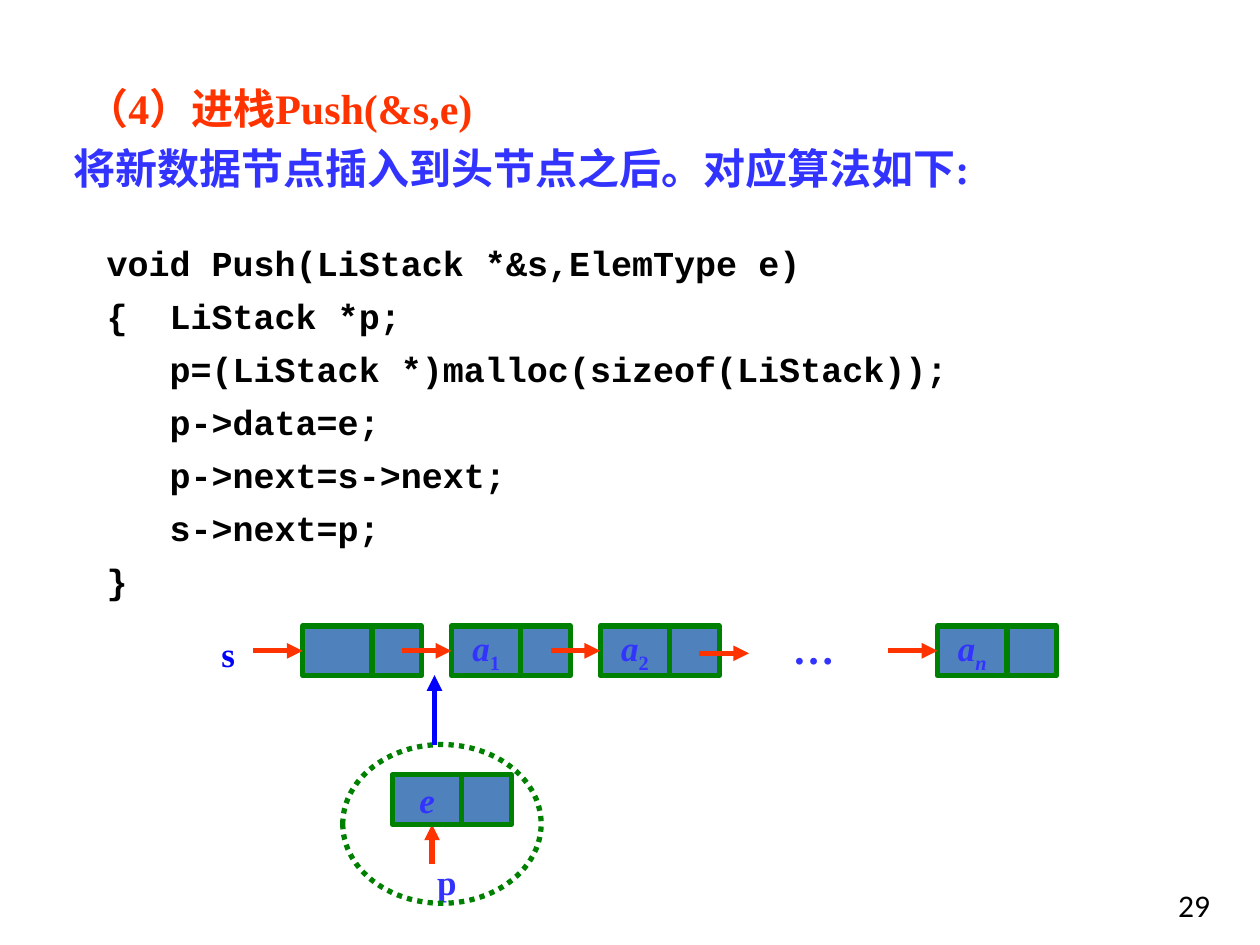
from dataclasses import dataclass

import pptx
import pptx.dml.color
import pptx.enum.dml
import pptx.enum.shapes
import pptx.enum.text
import pptx.oxml
import pptx.oxml.ns
import pptx.util

Cm = pptx.util.Cm
Pt = pptx.util.Pt
Align = pptx.enum.text.PP_ALIGN
Shapes = pptx.enum.shapes.MSO_SHAPE


@dataclass(frozen=True)
class Theme:
    serif: str = "Times New Roman"
    mono: str = "Courier New"
    sans: str = "Calibri"
    black: str = "000000"
    red: str = "FF3300"
    violet: str = "3333FF"
    blue: str = "0000FF"
    green: str = "008000"
    node_fill: str = "4F81BD"
    heading_size: int = 24
    body_size: int = 20
    number_size: int = 18
    line_width: int = 3


THEME = Theme()
DATA_WIDTH, LINK_WIDTH, NODE_HEIGHT = 1.4, 1, 1
NODE_PITCH, ARROW_LENGTH = 3, 1


def rgb(value):
    return pptx.dml.color.RGBColor.from_string(value)


def set_font(paragraph, name, size, color, bold=True, italic=False):
    font = paragraph.font
    font.name, font.size = name, Pt(size)
    font.bold, font.italic = bold, italic
    font.color.rgb = rgb(color)


def set_indent(paragraph, margin, first_line=0):
    properties = paragraph._p.get_or_add_pPr()
    properties.set("marL", str(Cm(margin)))
    properties.set("indent", str(Cm(first_line)))


def add_text_frame(slide, left, top, width, height):
    shape = slide.shapes.add_textbox(Cm(left), Cm(top), Cm(width), Cm(height))
    shape.text_frame.word_wrap = True
    return shape.text_frame


def add_label(slide, text, left, top, width, height, color, size=THEME.body_size):
    paragraph = add_text_frame(slide, left, top, width, height).paragraphs[0]
    paragraph.text = text
    paragraph.alignment = Align.CENTER
    set_font(paragraph, THEME.serif, size, color)


def add_outlined(slide, kind, left, top, width, height):
    shape = slide.shapes.add_shape(kind, Cm(left), Cm(top), Cm(width), Cm(height))
    shape.shadow.inherit = False
    shape.line.color.rgb = rgb(THEME.green)
    shape.line.width = Pt(THEME.line_width)
    return shape


def add_arrow(slide, start, end, color=THEME.red):
    connector = slide.shapes.add_connector(
        pptx.enum.shapes.MSO_CONNECTOR.STRAIGHT, *map(Cm, start + end)
    )
    connector.line.color.rgb = rgb(color)
    connector.line.width = Pt(THEME.line_width)
    head = pptx.oxml.parse_xml(
        f'<a:tailEnd {pptx.oxml.ns.nsdecls("a")} type="triangle"/>'
    )
    connector.line._get_or_add_ln().append(head)
    connector._element.spPr.append(
        pptx.oxml.parse_xml(f'<a:effectLst {pptx.oxml.ns.nsdecls("a")}/>')
    )


def add_node(slide, left, top, name="", index=""):
    data = add_outlined(slide, Shapes.RECTANGLE, left, top, DATA_WIDTH, NODE_HEIGHT)
    link = add_outlined(
        slide, Shapes.RECTANGLE, left + DATA_WIDTH, top, LINK_WIDTH, NODE_HEIGHT
    )
    for cell in (data, link):
        cell.fill.solid()
        cell.fill.fore_color.rgb = rgb(THEME.node_fill)
    if not name:
        return
    frame = data.text_frame
    frame.word_wrap = False
    frame.vertical_anchor = pptx.enum.text.MSO_ANCHOR.MIDDLE
    paragraph = frame.paragraphs[0]
    paragraph.alignment = Align.CENTER
    set_font(paragraph, THEME.serif, THEME.body_size, THEME.violet, italic=True)
    paragraph.add_run().text = name
    if index:
        subscript = paragraph.add_run()
        subscript.text = index
        subscript.font.italic = index.isalpha()
        subscript._r.get_or_add_rPr().set("baseline", "-25000")


def add_heading(slide, left, top, width, height):
    frame = add_text_frame(slide, left, top, width, height)
    title, summary = frame.paragraphs[0], frame.add_paragraph()
    title.text = "（4）进栈Push(&s,e)"
    summary.text = "将新数据节点插入到头节点之后。对应算法如下:"
    title.line_spacing = 0.8
    summary.space_before = Pt(6)
    for paragraph, color, margin in (
        (title, THEME.red, 1.06),
        (summary, THEME.violet, 0.8),
    ):
        paragraph.alignment = Align.JUSTIFY
        set_font(paragraph, THEME.serif, THEME.heading_size, color)
        set_indent(paragraph, margin)


def add_code(slide, left, top, width, height):
    step = 1.27
    lines = (
        ("void Push(LiStack *&s,ElemType e)", 0, 0),
        ("{\tLiStack *p;", step, -step),
        ("p=(LiStack *)malloc(sizeof(LiStack));", step, 0),
        ("p->data=e;", step, 0),
        ("p->next=s->next;", step, 0),
        ("s->next=p;", step, 0),
        ("}", 0, 0),
    )
    frame = add_text_frame(slide, left, top, width, height)
    for number, (text, margin, first_line) in enumerate(lines):
        paragraph = frame.add_paragraph() if number else frame.paragraphs[0]
        paragraph.text = text
        paragraph.line_spacing = 1.2
        paragraph.space_before = Pt(1.5)
        set_font(paragraph, THEME.mono, THEME.body_size, THEME.black)
        set_indent(paragraph, margin, first_line)


def add_chain(slide, left, top):
    first = left + 2
    last = left + 14.8
    middle = top + NODE_HEIGHT / 2
    add_label(slide, "s", left, top, 1, 1.09, THEME.blue)
    nodes = [
        (first, "", ""),
        (first + NODE_PITCH, "a", "1"),
        (first + 2 * NODE_PITCH, "a", "2"),
        (last, "a", "n"),
    ]
    for node_left, name, index in nodes:
        add_node(slide, node_left, top, name, index)
        add_arrow(slide, (node_left - ARROW_LENGTH, middle), (node_left, middle))
    open_end = first + 3 * NODE_PITCH
    add_arrow(
        slide, (open_end - ARROW_LENGTH, middle + 0.05), (open_end, middle + 0.05)
    )
    add_label(slide, "…", left + 11.6, top - 0.2, 1.4, 1.27,
              THEME.violet, THEME.heading_size)


def add_new_node(slide, left, top, width, height):
    pointer = left + 1.8
    insertion = left + 1.85
    node_top = top + 0.61
    node_bottom = node_top + NODE_HEIGHT
    add_arrow(slide, (pointer, node_bottom + 0.8), (pointer, node_bottom))
    add_label(slide, "p", left + 1.2, top + 2.21, 1.8, 1.09, THEME.violet)
    add_node(slide, left + 1, node_top, "e")
    ring = add_outlined(slide, Shapes.OVAL, left, top, width, height)
    ring.fill.background()
    ring.line.dash_style = pptx.enum.dml.MSO_LINE.ROUND_DOT
    add_arrow(slide, (insertion, top), (insertion, top - 1.4), THEME.blue)


def add_page_number(slide, left, top, width, height):
    paragraph = add_text_frame(slide, left, top, width, height).paragraphs[0]
    paragraph.text = "29"
    set_font(paragraph, THEME.sans, THEME.number_size, THEME.black, bold=False)


def main():
    presentation = pptx.Presentation()
    presentation.slide_width, presentation.slide_height = Cm(25.4), Cm(19.05)
    slide = presentation.slides.add_slide(presentation.slide_layouts[6])
    add_page_number(slide, 23.5, 17.73, 1.9, 1.32)
    add_heading(slide, 0.43, 1.73, 24.56, 2.59)
    add_code(slide, 1.9, 4.57, 19.4, 7.37)
    add_chain(slide, 4.1, 12.62)
    add_new_node(slide, 6.91, 15.01, 4, 3.2)
    presentation.save("out.pptx")


if __name__ == "__main__":
    main()
